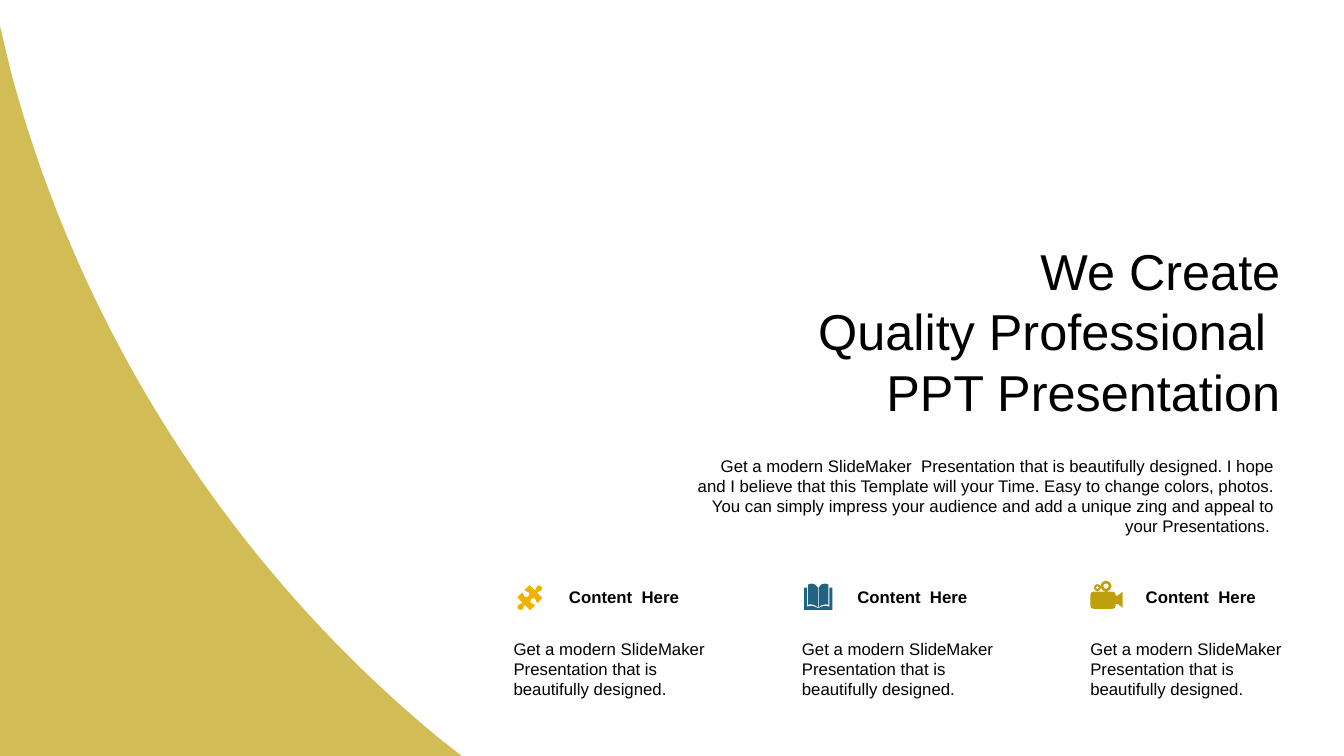
from dataclasses import dataclass

from lxml.etree import SubElement
from pptx import Presentation
from pptx.dml.color import RGBColor
from pptx.enum.shapes import MSO_SHAPE
from pptx.enum.text import MSO_ANCHOR, MSO_AUTO_SIZE, PP_ALIGN
from pptx.oxml.ns import qn
from pptx.util import Inches, Pt

# Grid: one column or row is a tenth of an inch
CELL = Inches(0.1)
FIRST_COLUMN, COLUMN_PITCH = 49.95, 28.6
ICON_UNIT = 0.1

GOLD, AMBER, BLUE, WHITE, BLACK = "BEA00E", "EDB300", "206481", "FFFFFF", "000000"
INTRO = (
    "Get a modern SlideMaker  Presentation that is beautifully designed. "
    "I hope and I believe that this Template will your Time. "
    "Easy to change colors, photos. You can simply impress your audience "
    "and add a unique zing and appeal to your Presentations. "
)
FEATURE_TEXT = "Get a modern SlideMaker  Presentation that is beautifully designed."

# A start point, then segments: two numbers make a line, six a cubic curve
Contour = list[tuple[float, ...]]


@dataclass
class Area:
    column: float
    row: float
    columns: float
    rows: float


@dataclass
class Icon:
    contours: list[Contour]
    color: str
    column: float
    row: float
    rotation: float = 0


def cells(count: float) -> int:
    return round(count * CELL)


def color(value: str) -> RGBColor:
    return RGBColor.from_string(value)


def mirror(contour: Contour, x_sign: int, y_sign: int = 1) -> Contour:
    signs = (x_sign, y_sign) * 3
    return [tuple(value * sign for value, sign in zip(segment, signs))
            for segment in contour]


def backwards(contour: Contour) -> Contour:
    result = [contour[-1][-2:]]
    for before, segment in reversed(list(zip(contour, contour[1:]))):
        controls = segment[2:4] + segment[:2] if len(segment) == 6 else ()
        result.append(controls + before[-2:])
    return result


def circle(x: float, y: float, radius: float) -> Contour:
    bend = 0.55
    unit = [(1, 0), (1, bend, bend, 1, 0, 1), (-bend, 1, -1, bend, -1, 0),
            (-1, -bend, -bend, -1, 0, -1), (bend, -1, 1, -bend, 1, 0)]
    centre = (x, y) * 3
    return [tuple(middle + radius * value for middle, value in zip(centre, segment))
            for segment in unit]


def puzzle_contours() -> list[Contour]:
    quarter = [
        (0, -16), (2, -16, 3, -14.5, 3, -13), (3, -11, 1, -10.5, 1.5, -8.5),
        (9, -8.5), (9, -1.5), (7, -1, 6.5, -3, 4.5, -3), (3, -3, 2, -1.5, 2, 0),
    ]
    right = quarter + backwards(mirror(quarter, 1, -1))[1:]
    return [right + backwards(mirror(right, -1))[1:]]


def book_contours() -> list[Contour]:
    page = [(0.4, 4), (2, 1.2, 4, 0, 6, 0), (8, 0, 9, 0.3, 10, 1), (10, 21),
            (7, 20, 3, 21, 0.4, 23.5)]
    cover = [(0, 24.5), (4, 22, 8, 21.5, 11, 23), (11, 4),
             (14, 4), (14, 26), (0, 26)]
    return [mirror(part, side) for part in (page, cover) for side in (1, -1)]


def camera_contours() -> list[Contour]:
    body = [
        (3, 11), (22, 11), (23.7, 11, 25, 12.3, 25, 14), (25, 15), (27, 15),
        (32, 11), (32, 27), (27, 23), (25, 23), (25, 25),
        (25, 26.7, 23.7, 28, 22, 28), (3, 28), (1.3, 28, 0, 26.7, 0, 25),
        (0, 14), (0, 12.3, 1.3, 11, 3, 11),
    ]
    reels = [(7, 7, 3.5), (7, 7, 1.6), (15.5, 5.5, 5.5), (15.5, 5.5, 2.7)]
    return [body] + [circle(*reel) for reel in reels]


def paint(shape, fill: str) -> None:
    shape.shadow.inherit = False
    shape.fill.solid()
    shape.fill.fore_color.rgb = color(fill)
    shape.line.fill.background()


def draw_outline(slide, contours: list[Contour], fill: str,
                 column: float = 0, row: float = 0, unit: float = 1):
    scaled = [[tuple(cells(value * unit) for value in segment) for segment in contour]
              for contour in contours]
    anchors = [segment[-2:] for contour in scaled for segment in contour]
    left, top = (min(values) for values in zip(*anchors))
    builder = slide.shapes.build_freeform(*scaled[0][0], scale=1.0)
    for index, contour in enumerate(scaled):
        if index:
            builder.move_to(*contour[0])
        builder.add_line_segments([segment[-2:] for segment in contour[1:]], close=True)
    shape = builder.convert_to_shape(cells(column), cells(row))

    # Bend the lines that have control points
    segments = [segment for contour in scaled for segment in contour[1:]]
    for line, segment in zip(list(shape.element.iter(qn("a:lnTo"))), segments):
        if len(segment) == 6:
            line.tag = qn("a:cubicBezTo")
            end = line[0]
            for x, y in (segment[:2], segment[2:4]):
                SubElement(line, qn("a:pt"), x=str(x - left), y=str(y - top))
            line.append(end)
    paint(shape, fill)
    return shape


def place(shape, area: Area) -> None:
    position = {"left": area.column, "top": area.row,
                "width": area.columns, "height": area.rows}
    for name, count in position.items():
        setattr(shape, name, cells(count))


def write(shape, lines: list[str], size: int = 12, bold: bool = False,
          align=PP_ALIGN.LEFT, **frame_format) -> None:
    frame = shape.text_frame
    frame_format = {"word_wrap": True,
                    "auto_size": MSO_AUTO_SIZE.SHAPE_TO_FIT_TEXT} | frame_format
    for name, value in frame_format.items():
        setattr(frame, name, value)
    font_format = {"name": "Arial", "size": Pt(size), "bold": bold}
    for index, line in enumerate(lines):
        paragraph = frame.add_paragraph() if index else frame.paragraphs[0]
        paragraph.alignment = align
        run = paragraph.add_run()
        run.text = line
        for name, value in font_format.items():
            setattr(run.font, name, value)
        run.font.color.rgb = color(BLACK)


def add_text(slide, area: Area, text: str, **text_format) -> None:
    box = slide.shapes.add_textbox(0, 0, 0, 0)
    place(box, area)
    write(box, [text], **text_format)


def main() -> None:
    presentation = Presentation()
    presentation.slide_width, presentation.slide_height = Inches(13.33), Inches(7.5)
    slide = presentation.slides.add_slide(presentation.slide_layouts[5])

    # Translucent curve on the left
    curve = [(0, 2.6), (1.1, 7.2), (8, 32.9, 22.8, 56.1, 43.5, 73.2),
             (45.8, 75), (0, 75)]
    wave = draw_outline(slide, [curve], GOLD)
    fill_color = next(wave.element.iter(qn("a:srgbClr")))
    SubElement(fill_color, qn("a:alpha"), val="70000")

    # Title and introduction
    title = slide.shapes.title
    place(title, Area(68.2, 23.7, 59.2, 18.2))
    write(title, ["We Create", "Quality Professional ", "PPT Presentation"],
          size=36, align=PP_ALIGN.RIGHT, vertical_anchor=MSO_ANCHOR.MIDDLE,
          margin_left=cells(0.4), margin_right=cells(0.4),
          margin_top=0, margin_bottom=0)
    add_text(slide, Area(68.2, 44.7, 59.2, 9.1), INTRO, align=PP_ALIGN.RIGHT)

    # Three features, each icon placed on a badge in its column
    icons = [
        Icon(puzzle_contours(), AMBER, 2.6, 59.3, rotation=45),
        Icon(book_contours(), BLUE, 2.6, 57.9),
        Icon(camera_contours(), GOLD, 1, 57.6),
    ]
    for index, icon in enumerate(icons):
        column = FIRST_COLUMN + index * COLUMN_PITCH
        badge = slide.shapes.add_shape(MSO_SHAPE.OVAL, 0, 0, 0, 0)
        place(badge, Area(column, 56.6, 5.1, 5.1))
        paint(badge, WHITE)
        add_text(slide, Area(column + 5.5, 57.7, 14.6, 3), "Content  Here", bold=True)
        add_text(slide, Area(column, 62.85, 22.1, 7.1), FEATURE_TEXT)
        shape = draw_outline(slide, icon.contours, icon.color,
                             column + icon.column, icon.row, ICON_UNIT)
        shape.rotation = icon.rotation

    presentation.save("out.pptx")


if __name__ == "__main__":
    main()
